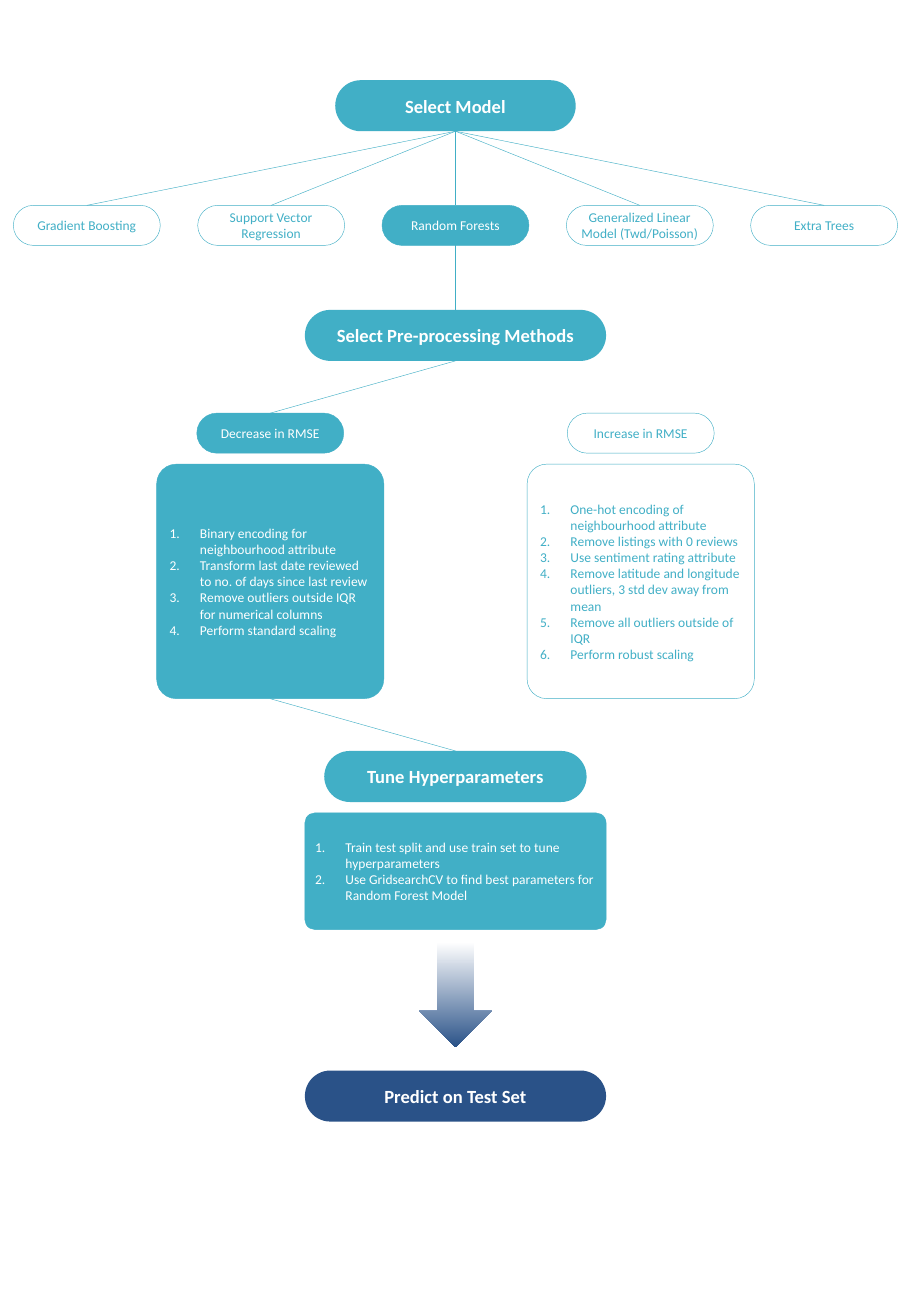
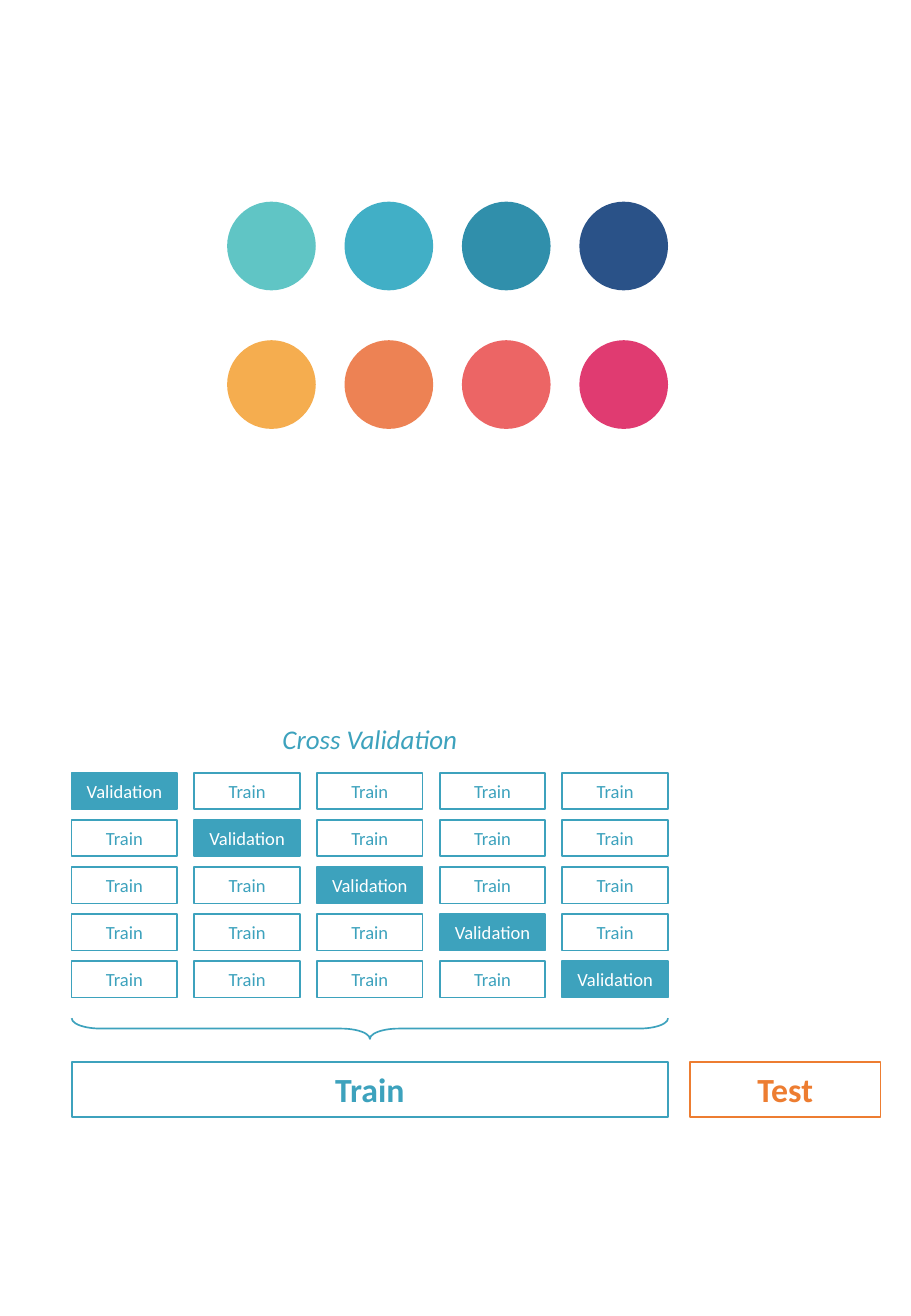
from dataclasses import dataclass

from pptx import Presentation
from pptx import util as u
from pptx.dml.color import RGBColor
from pptx.enum import shapes, text
from pptx.oxml.ns import qn
from lxml import etree

KIND = shapes.MSO_SHAPE


@dataclass(frozen=True)
class Theme:
    font: str = "Calibri"
    white: str = "FFFFFF"
    teal: str = "41AFC6"
    navy: str = "2A5288"
    fold: str = "3DA2BD"
    test: str = "ED7D31"
    palette: tuple = (("60C5C5", "41AFC6", "308FAB", "2A5288"),
                      ("F5AD4F", "ED8254", "EC6565", "E03B71"))
    small: float = 8
    heading: float = 11
    caption: float = 16
    large: float = 20
    hairline: float = 0.25
    border: float = 1


THEME = Theme()


@dataclass(frozen=True)
class Box:
    left: float
    top: float
    width: float
    height: float

    def inner(self, dx, dy, width, height):
        return Box(self.left + dx, self.top + dy, width, height)

    def centred(self, dy, width, height):
        return self.inner((self.width - width) / 2, dy, width, height)

    def grid(self, rows, columns, width, height):
        """Rows of equal cells, spread evenly over the box."""
        step_x = (self.width - width) / max(columns - 1, 1)
        step_y = (self.height - height) / max(rows - 1, 1)
        return [[self.inner(column * step_x, row * step_y, width, height)
                 for column in range(columns)] for row in range(rows)]

    def inches(self):
        return [u.Inches(n) for n in (self.left, self.top, self.width, self.height)]


# Shared drawing helpers

def add_shape(slide, kind, box, fill=None, line=None, weight=THEME.hairline):
    shape = slide.shapes.add_shape(kind, *box.inches())
    shape.shadow.inherit = False
    if fill:
        shape.fill.solid()
        shape.fill.fore_color.rgb = RGBColor.from_string(fill)
    else:
        shape.fill.background()
    if line:
        shape.line.color.rgb = RGBColor.from_string(line)
        shape.line.width = u.Pt(weight)
    else:
        shape.line.fill.background()
    return shape


def set_text(shape, *lines, size=THEME.small, color=THEME.white, bold=False,
             italic=False, numbered=False, inset=(0.06, 0.03)):
    frame = shape.text_frame
    frame.word_wrap = True
    frame.vertical_anchor = text.MSO_ANCHOR.MIDDLE
    frame.margin_left = frame.margin_right = u.Inches(inset[0])
    frame.margin_top = frame.margin_bottom = u.Inches(inset[1])
    for index, line in enumerate(lines):
        paragraph = frame.add_paragraph() if index else frame.paragraphs[0]
        paragraph.alignment = text.PP_ALIGN.LEFT if numbered else text.PP_ALIGN.CENTER
        if numbered:
            properties = paragraph._p.get_or_add_pPr()
            properties.set("marL", str(u.Inches(0.25)))
            properties.set("indent", str(-u.Inches(0.25)))
            etree.SubElement(properties, qn("a:buAutoNum"), type="arabicPeriod")
        run = paragraph.add_run()
        run.text = line
        font = run.font
        font.name, font.size = THEME.font, u.Pt(size)
        font.bold, font.italic = bold, italic
        font.color.rgb = RGBColor.from_string(color)


def join(slide, start, end, start_site=2, end_site=0):
    link = slide.shapes.add_connector(shapes.MSO_CONNECTOR.STRAIGHT, 0, 0, 0, 0)
    link.begin_connect(start, start_site)
    link.end_connect(end, end_site)
    link.line.color.rgb = RGBColor.from_string(THEME.teal)
    link.line.width = u.Pt(THEME.hairline)
    etree.SubElement(link._element.spPr, qn("a:effectLst"))


# Flowchart parts

def add_heading(slide, box, label, fill=THEME.teal):
    heading = add_shape(slide, KIND.ROUNDED_RECTANGLE, box, fill)
    heading.adjustments[0] = 0.5
    set_text(heading, label, size=THEME.heading, bold=True)
    return heading


def add_node(slide, box, *lines, chosen, corner=0.5, numbered=False):
    node = add_shape(slide, KIND.ROUNDED_RECTANGLE, box,
                     THEME.teal if chosen else None, THEME.teal)
    node.adjustments[0] = corner
    set_text(node, *lines, color=THEME.white if chosen else THEME.teal,
             numbered=numbered)
    return node


def add_steps(slide, box, steps, chosen=True):
    return add_node(slide, box, *steps, chosen=chosen, corner=0.086, numbered=True)


def model_selection(slide, box):
    heading = add_heading(slide, box.centred(0, 1.98, 0.42), "Select Model")
    models = ("Gradient Boosting", "Support Vector Regression", "Random Forests",
              "Generalized Linear Model (Twd/Poisson)", "Extra Trees")
    row = box.inner(0, 1.03, box.width, 0.33)
    nodes = {}
    for model, cell in zip(models, row.grid(1, len(models), 1.21, 0.33)[0]):
        nodes[model] = add_node(slide, cell, model, chosen=model == "Random Forests")
        join(slide, heading, nodes[model])
    return nodes["Random Forests"]


def preprocessing(slide, box, model):
    heading = add_heading(slide, box.centred(0, 2.48, 0.42),
                          "Select Pre-processing Methods")
    join(slide, model, heading)
    outcomes = (
        ("Decrease in RMSE", True, (
            "Binary encoding for neighbourhood attribute",
            "Transform last date reviewed to no. of days since last review",
            "Remove outliers outside IQR for numerical columns",
            "Perform standard scaling")),
        ("Increase in RMSE", False, (
            "One-hot encoding of neighbourhood attribute",
            "Remove listings with 0 reviews",
            "Use sentiment rating attribute",
            "Remove latitude and longitude outliers, 3 std dev away from mean",
            "Remove all outliers outside of IQR",
            "Perform robust scaling")))
    columns = box.inner(0, 0.85, box.width, 2.35).grid(1, 2, 1.87, 2.35)[0]
    for (outcome, chosen, methods), column in zip(outcomes, columns):
        label = add_node(slide, column.centred(0, 1.21, 0.33), outcome, chosen=chosen)
        card = add_steps(slide, column.inner(0, 0.42, column.width, 1.93), methods, chosen)
        if chosen:
            join(slide, heading, label)
            kept = card
    return kept


def tuning(slide, box, methods):
    heading = add_heading(slide, box.centred(0, 2.16, 0.42), "Tune Hyperparameters")
    join(slide, methods, heading)
    add_steps(slide, box.inner(0, 0.51, box.width, 0.96), (
        "Train test split and use train set to tune hyperparameters",
        "Use GridsearchCV to find best parameters for Random Forest Model"))

    # Fading arrow to the prediction
    arrow = add_shape(slide, KIND.DOWN_ARROW, box.centred(1.57, 0.6, 0.87))
    arrow.fill.gradient()
    arrow.fill.gradient_angle = 270
    for stop, color in zip(arrow.fill.gradient_stops, (THEME.white, THEME.navy)):
        stop.color.rgb = RGBColor.from_string(color)
    add_heading(slide, box.inner(0, 2.63, box.width, 0.42), "Predict on Test Set",
                THEME.navy)


# Palette and cross validation parts

def palette(slide, box):
    size = 0.73
    rows = box.grid(len(THEME.palette), len(THEME.palette[0]), size, size)
    for colors, cells in zip(THEME.palette, rows):
        for color, cell in zip(colors, cells):
            add_shape(slide, KIND.OVAL, cell, color)


def add_block(slide, box, label, color=THEME.fold, filled=False,
              size=THEME.heading, bold=False):
    block = add_shape(slide, KIND.RECTANGLE, box, color if filled else THEME.white,
                      color, THEME.border)
    set_text(block, label, size=size, bold=bold, inset=(0.04, 0.05),
             color=THEME.white if filled else color)


def cross_validation(slide, box):
    train_width = 4.91

    # Five folds, the validation block moving along the diagonal
    folds = box.inner(0, 0.43, train_width, 1.85).grid(5, 5, 0.87, 0.3)
    for row, cells in enumerate(folds):
        for column, cell in enumerate(cells):
            held_out = row == column
            add_block(slide, cell, "Validation" if held_out else "Train",
                      filled=held_out)

    # Whole data set
    add_block(slide, box.inner(0, 2.81, train_width, 0.45), "Train",
              size=THEME.large, bold=True)
    add_block(slide, box.inner(box.width - 1.57, 2.81, 1.57, 0.45), "Test", THEME.test,
              size=THEME.large, bold=True)

    # Brace, turned to point down
    span = box.inner(0, 0, train_width, box.height)
    brace = add_shape(slide, KIND.RIGHT_BRACE, span.centred(0.08, 0.17, train_width),
                      line=THEME.fold, weight=THEME.border)
    brace.adjustments[0], brace.adjustments[1] = 1.4, 0.5
    brace.rotation = 90

    title = add_shape(slide, KIND.RECTANGLE, span.centred(0, 2.07, 0.3), THEME.white)
    set_text(title, "Cross Validation", size=THEME.caption, color=THEME.fold,
             italic=True, inset=(0.04, 0.05))


def main():
    deck = Presentation()
    deck.slide_width, deck.slide_height = u.Inches(7.5), u.Inches(10.83)
    blank = deck.slide_layouts[6]

    workflow = deck.slides.add_slide(blank)
    model = model_selection(workflow, Box(0.11, 0.66, 7.28, 1.36))
    methods = preprocessing(workflow, Box(1.29, 2.55, 4.92, 3.2), model)
    tuning(workflow, Box(2.51, 6.18, 2.48, 3.05), methods)

    validation = deck.slides.add_slide(blank)
    cross_validation(validation, Box(0.59, 5.93, 6.66, 3.26))
    palette(validation, Box(1.87, 1.66, 3.63, 1.87))

    deck.save("out.pptx")


if __name__ == "__main__":
    main()
